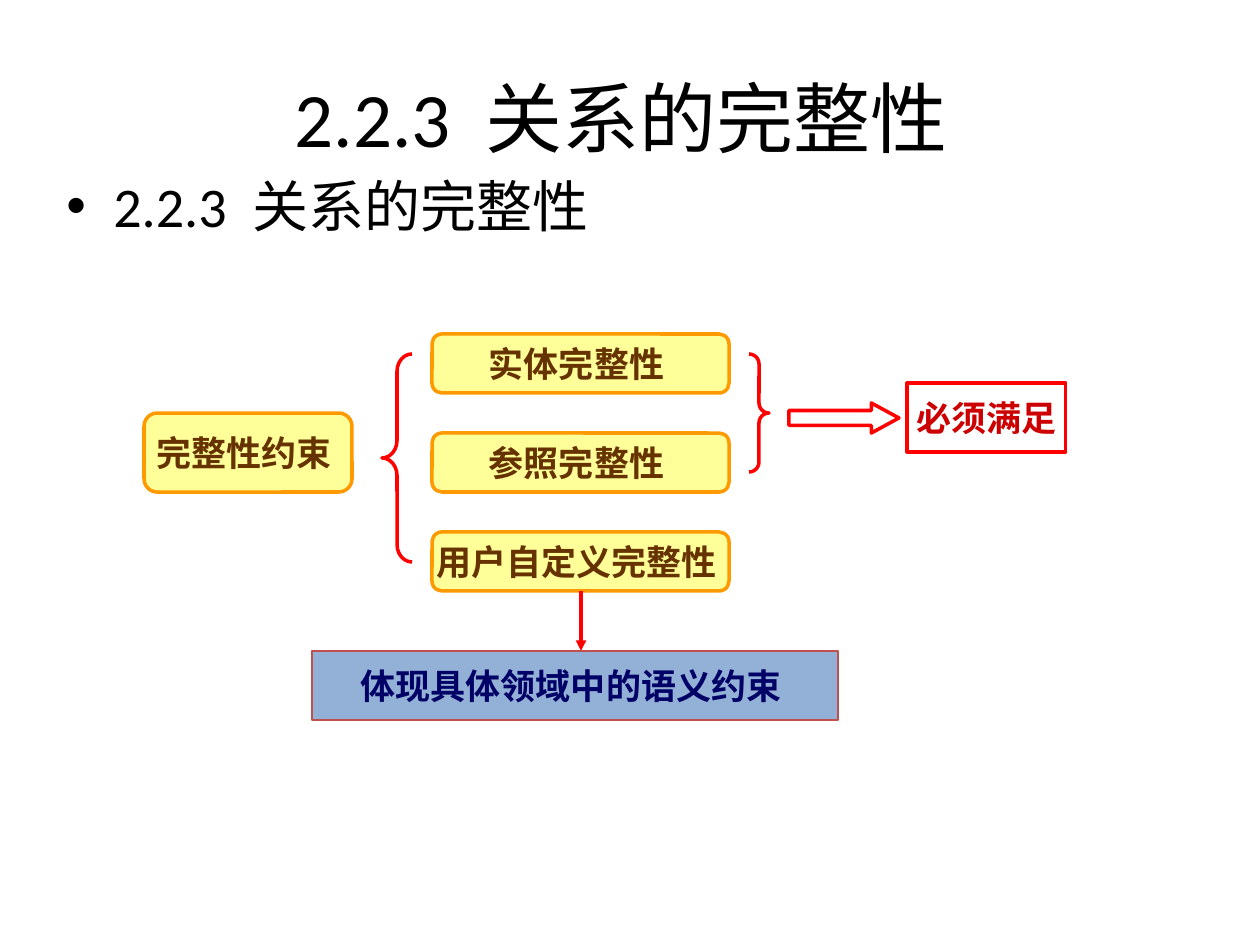
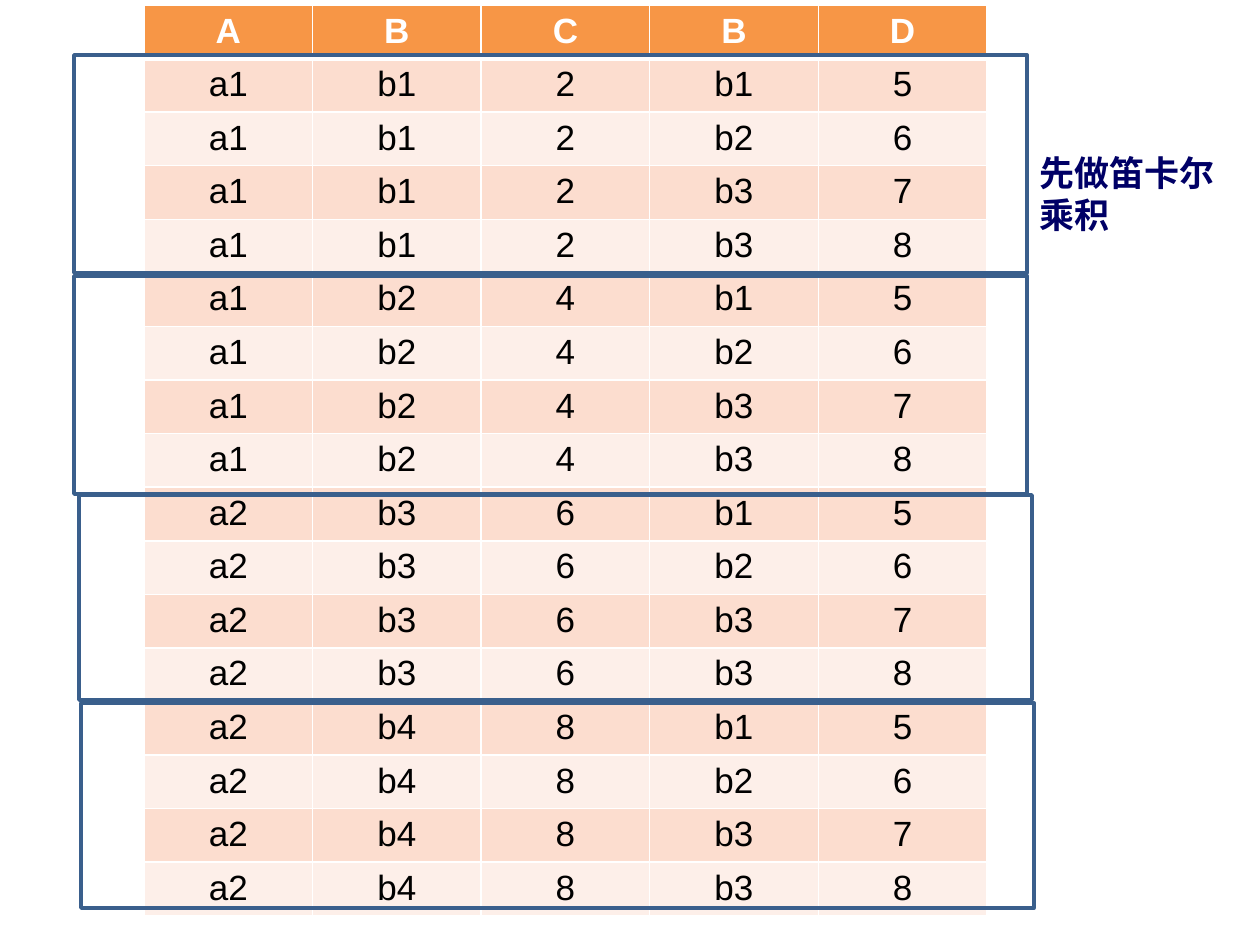
from lxml.etree import SubElement
from pptx import Presentation
from pptx.dml.color import RGBColor
from pptx.enum.shapes import MSO_CONNECTOR, MSO_SHAPE
from pptx.enum.text import MSO_ANCHOR, PP_ALIGN
from pptx.oxml.ns import qn
from pptx.util import Pt

EMU_PER_PX = 914400 / 126
TITLE_ONLY, BLANK = 5, 6

BLACK, WHITE, RED, DARK_RED = "000000", "FFFFFF", "FF0000", "CC0000"
YELLOW, ORANGE, BROWN = "FFFF99", "FF9900", "663300"
NAVY, BLUE, BRICK, FRAME = "000066", "4F81BD", "C0504D", "3A5F8C"
HEADER, BANDS = "F79646", ("FCDDCF", "FDEFE9")


def px(n):
    return round(n * EMU_PER_PX)


def box_emu(box):
    return [px(n) for n in box]


def rgb(hex_color):
    return RGBColor.from_string(hex_color)


class Deck:
    """Holds the presentation, its text style and the current slide."""

    title_font, body_font = "Calibri", "Arial"
    size = 20

    def __init__(self):
        self.prs = Presentation()
        self.prs.slide_width, self.prs.slide_height = px(1260), px(945)
        self.s = None

    def new_slide(self, layout):
        self.s = self.prs.slides.add_slide(self.prs.slide_layouts[layout])

    def text_run(self, p, text, color, size=size, font=body_font, bold=True,
                 align=PP_ALIGN.CENTER):
        p.alignment = align
        r = p.add_run()
        r.text = text
        r.font.name, r.font.size, r.font.bold = font, Pt(size), bold
        r.font.color.rgb = rgb(color)

    def title(self, text, box):
        sp = self.s.shapes.title
        sp.left, sp.top, sp.width, sp.height = box_emu(box)
        tf = sp.text_frame
        tf.vertical_anchor = MSO_ANCHOR.MIDDLE
        self.text_run(tf.paragraphs[0], text, BLACK, 44, self.title_font, False)

    def bullet(self, text, box):
        tf = self.s.shapes.add_textbox(*box_emu(box)).text_frame
        tf.word_wrap = True
        p = tf.paragraphs[0]
        p.space_before = Pt(6.4)
        self.text_run(p, text, BLACK, 32, self.title_font, False, PP_ALIGN.LEFT)
        pPr = p._p.get_or_add_pPr()
        pPr.set("marL", str(px(47)))
        pPr.set("indent", str(-px(47)))
        SubElement(pPr, qn("a:buFont"), typeface="Arial")
        SubElement(pPr, qn("a:buChar"), char="•")

    def label(self, lines, box, color):
        tf = self.s.shapes.add_textbox(*box_emu(box)).text_frame
        tf.word_wrap = False
        for i, line in enumerate(lines):
            p = tf.add_paragraph() if i else tf.paragraphs[0]
            self.text_run(p, line, color, align=PP_ALIGN.LEFT)

    def shape(self, kind, box, line, width=2, fill=None, alpha=None, adj=(),
              text=None, color=BLACK):
        sp = self.s.shapes.add_shape(kind, *box_emu(box))
        sp.shadow.inherit = False
        sp.line.color.rgb, sp.line.width = rgb(line), Pt(width)
        for i, value in enumerate(adj):
            sp.adjustments[i] = value
        if fill:
            sp.fill.solid()
            sp.fill.fore_color.rgb = rgb(fill)
        else:
            sp.fill.background()
        if alpha:
            clr = sp._element.spPr.find(qn("a:solidFill"))[0]
            SubElement(clr, qn("a:alpha"), val=str(alpha * 1000))
        if text:
            tf = sp.text_frame
            tf.word_wrap = False
            tf.vertical_anchor = MSO_ANCHOR.MIDDLE
            self.text_run(tf.paragraphs[0], text, color)

    def arrow(self, x1, y1, x2, y2, color):
        c = self.s.shapes.add_connector(MSO_CONNECTOR.STRAIGHT,
                                        *box_emu((x1, y1, x2, y2)))
        c.line.color.rgb, c.line.width = rgb(color), Pt(2)
        spPr = c._element.spPr
        SubElement(spPr.find(qn("a:ln")), qn("a:tailEnd"), type="triangle")
        SubElement(spPr, qn("a:effectLst"))

    def borders(self, cell, top, bottom):
        tcPr = cell._tc.get_or_add_tcPr()
        for side, width in zip("LRTB", (1, 1, top, bottom)):
            ln = SubElement(tcPr, qn(f"a:ln{side}"), w=str(Pt(width)))
            SubElement(SubElement(ln, qn("a:solidFill")), qn("a:srgbClr"), val=WHITE)

    def table(self, rows, box):
        tbl = self.s.shapes.add_table(len(rows), len(rows[0]), *box_emu(box)).table
        for i, row in enumerate(rows):
            is_header = i == 0
            for j, text in enumerate(row):
                cell = tbl.cell(i, j)
                self.borders(cell, 3 if i == 1 else 1, 3 if is_header else 1)
                cell.fill.solid()
                cell.fill.fore_color.rgb = rgb(HEADER if is_header else BANDS[(i - 1) % 2])
                self.text_run(cell.text_frame.paragraphs[0], text,
                              WHITE if is_header else BLACK, bold=is_header)


def integrity_slide(deck):
    deck.new_slide(TITLE_ONLY)
    deck.title("2.2.3  关系的完整性 ", (63, 38, 1134, 158))
    deck.bullet("2.2.3  关系的完整性", (54, 165, 1152, 169))

    # Constraint and its three kinds
    nodes = [("完整性约束 ", (144, 413, 208, 79))]
    kinds = ("实体完整性 ", "参照完整性 ", "用户自定义完整性 ")
    nodes += [(kind, (432, 334 + 99 * i, 297, 59)) for i, kind in enumerate(kinds)]
    for text, box in nodes:
        deck.shape(MSO_SHAPE.ROUNDED_RECTANGLE, box, ORANGE, fill=YELLOW,
                   adj=(0.167,), text=text, color=BROWN)

    # Braces and block arrow
    deck.shape(MSO_SHAPE.LEFT_BRACE, (382, 354, 30, 208), RED, adj=(0.58, 0.5))
    deck.shape(MSO_SHAPE.RIGHT_BRACE, (749, 354, 20, 118), RED, adj=(0.5, 0.5))
    deck.shape(MSO_SHAPE.RIGHT_ARROW, (789, 403, 110, 30), RED, adj=(0.5, 0.92))

    # Conclusions
    deck.shape(MSO_SHAPE.RECTANGLE, (907, 383, 159, 69), RED, 1.75,
               text="必须满足", color=DARK_RED)
    deck.arrow(581, 591, 581, 651, RED)
    deck.shape(MSO_SHAPE.RECTANGLE, (312, 651, 526, 69), BRICK, 1, fill=BLUE,
               alpha=61, text="体现具体领域中的语义约束 ", color=NAVY)


def product_slide(deck):
    deck.new_slide(BLANK)

    # Every left row paired with every right row
    left = [("a1", "b1", "2"), ("a1", "b2", "4"), ("a2", "b3", "6"), ("a2", "b4", "8")]
    right = [("b1", "5"), ("b2", "6"), ("b3", "7"), ("b3", "8")]
    pairs = [a + b for a in left for b in right]
    deck.table([tuple("ABCBD")] + pairs, (144, 5, 843, 911))
    deck.label(("先做笛卡尔", "乘积"), (1027, 145, 203, 97), NAVY)

    # One frame per left row
    for x, y, height in ((74, 55, 218), (74, 276, 218), (79, 495, 205), (81, 703, 205)):
        deck.shape(MSO_SHAPE.RECTANGLE, (x, y, 953, height), FRAME)


def main():
    deck = Deck()
    integrity_slide(deck)
    product_slide(deck)
    deck.prs.save("out.pptx")


if __name__ == "__main__":
    main()
